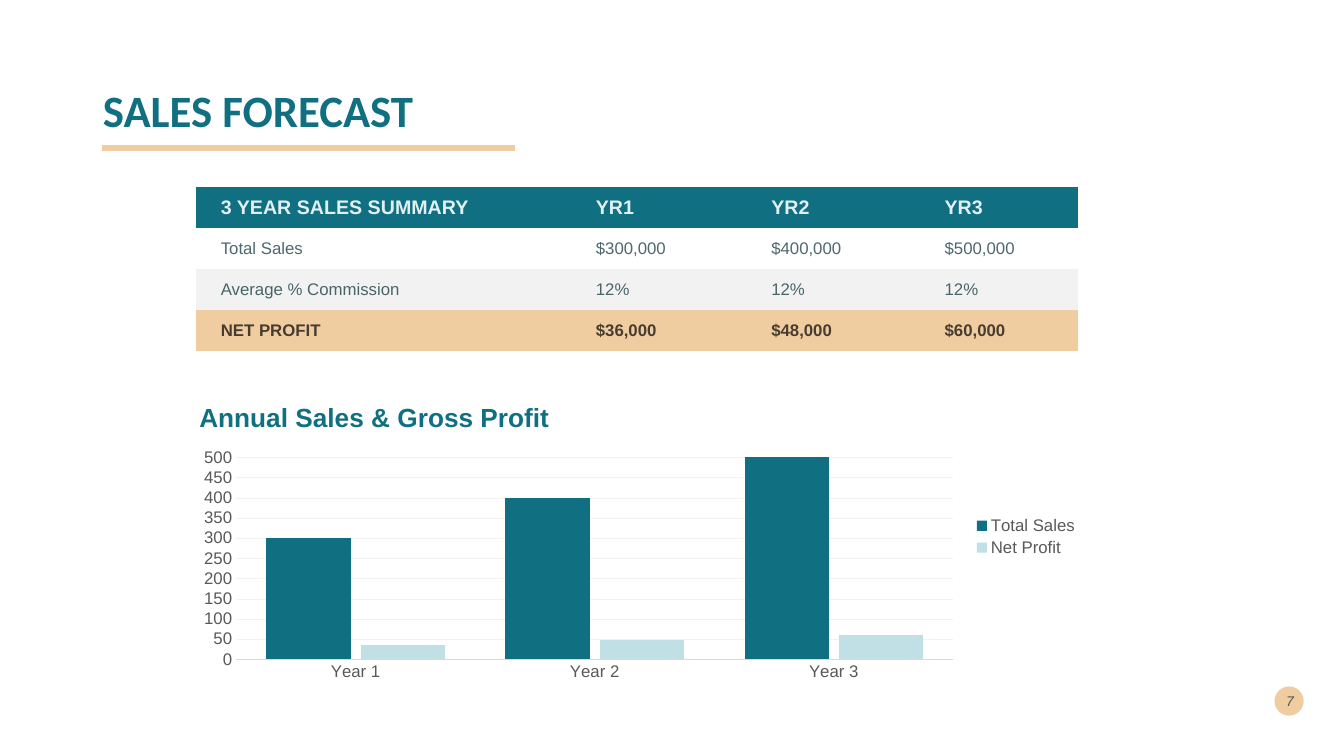
"""Build the sales forecast slide with a summary table and a column chart."""
from lxml.etree import SubElement
from pptx import Presentation
from pptx.chart.data import CategoryChartData
from pptx.dml.color import RGBColor
from pptx.enum.chart import XL_CHART_TYPE, XL_LEGEND_POSITION, XL_TICK_MARK
from pptx.enum.shapes import MSO_CONNECTOR, MSO_SHAPE
from pptx.enum.text import MSO_ANCHOR, PP_ALIGN
from pptx.oxml import parse_xml
from pptx.oxml.ns import nsdecls, qn
from pptx.util import Inches, Pt

TEAL = RGBColor(0x10, 0x70, 0x82)
SAND = RGBColor(0xF0, 0xCD, 0xA1)
ICE = RGBColor(0xE0, 0xF0, 0xF3)
SKY = RGBColor(0xC1, 0xE0, 0xE6)
PALE = RGBColor(0xF2, 0xF2, 0xF2)
INK = RGBColor(0x00, 0x29, 0x2E)
BLACK = RGBColor(0x00, 0x00, 0x00)
GREY = RGBColor(0x59, 0x59, 0x59)
SILVER = RGBColor(0xD9, 0xD9, 0xD9)


def style(font, color, alpha=None, **look):
    """Set the font's colour, opacity in percent and other values."""
    for name, value in {"name": "Arial", **look}.items():
        setattr(font, name, value)
    font.fill.solid()
    font.fill.fore_color.rgb = color
    if alpha:
        tint = font._element.find(".//" + qn("a:srgbClr"))
        SubElement(tint, qn("a:alpha"), val=str(alpha * 1000))


def place(part, index, **spots):
    """Give a chart part a manual layout in fractions of the chart."""
    for old in part.findall(qn("c:layout")):
        part.remove(old)
    layout = parse_xml(f"<c:layout {nsdecls('c')}/>")
    part.insert(index, layout)
    manual = SubElement(layout, qn("c:manualLayout"))
    if "w" in spots:
        SubElement(manual, qn("c:layoutTarget"), val="inner")
    for key in ("x", "y"):
        SubElement(manual, qn(f"c:{key}Mode"), val="edge")
    for key, value in spots.items():
        SubElement(manual, qn(f"c:{key}"), val=str(value))


deck = Presentation()
deck.slide_width, deck.slide_height = Inches(13.33), Inches(7.5)
slide = deck.slides.add_slide(deck.slide_layouts[5])
shapes = slide.shapes

title = shapes.title
title.left, title.top = Inches(0.92), Inches(0.4)
title.width, title.height = Inches(11.5), Inches(1.45)
title.text = "SALES FORECAST"
title.text_frame.vertical_anchor = MSO_ANCHOR.MIDDLE
para = title.text_frame.paragraphs[0]
para.alignment, para.line_spacing = PP_ALIGN.LEFT, 0.9
style(para.runs[0].font, TEAL, name="Calibri", size=Pt(32), bold=True)

rule = shapes.add_connector(MSO_CONNECTOR.STRAIGHT, Inches(1.01), Inches(1.47),
                            Inches(5.11), Inches(1.47))
rule.line.color.rgb, rule.line.width = SAND, Pt(4.32)
rule._element.spPr.append(parse_xml(f"<a:effectLst {nsdecls('a')}/>"))

badge = shapes.add_shape(MSO_SHAPE.OVAL, Inches(12.64), Inches(6.81),
                         Inches(0.29), Inches(0.29))
badge.shadow.inherit = False
badge.fill.solid()
badge.fill.fore_color.rgb = SAND
badge.line.fill.background()

page = shapes.add_textbox(Inches(12.54), Inches(6.75), Inches(0.39), Inches(0.4))
page.text_frame.word_wrap = True
page.text_frame.vertical_anchor = MSO_ANCHOR.MIDDLE
para = page.text_frame.paragraphs[0]
para.text, para.alignment = "7", PP_ALIGN.RIGHT
style(para.runs[0].font, INK, 70, size=Pt(10), italic=True)

ROWS = [
    (["3 YEAR SALES SUMMARY", "YR1", "YR2", "YR3"], TEAL, 7.8,
     dict(color=ICE, size=Pt(14), bold=True)),
    (["Total Sales", "$300,000", "$400,000", "$500,000"], None, 4.2,
     dict(color=INK, alpha=70, size=Pt(12), bold=False)),
    (["Average % Commission", "12%", "12%", "12%"], PALE, 3.7,
     dict(color=INK, alpha=70, size=Pt(12), bold=False)),
    (["NET PROFIT", "$36,000", "$48,000", "$60,000"], SAND, 3.7,
     dict(color=BLACK, alpha=70, size=Pt(12), bold=True)),
]
COLS = [(3.59, 0.25), (1.72, 0.38), (1.72, 0.4), (1.72, 0.4)]

frame = shapes.add_table(len(ROWS), len(COLS), Inches(1.94), Inches(1.86),
                         Inches(8.75), Inches(1.62))
table = frame.table
table.horz_banding = False
plain = table._tbl.tblPr.find(qn("a:tableStyleId"))
plain.text = "{2D5ABB26-0587-4C30-8999-92F81FD0307C}"
for col, (width, inset) in zip(table.columns, COLS):
    col.width = Inches(width)
for row, (words, back, gap, look) in zip(table.rows, ROWS):
    for cell, word, (width, inset) in zip(row.cells, words, COLS):
        cell.margin_left = Inches(inset)
        cell.margin_right = cell.margin_top = cell.margin_bottom = 0
        cell.vertical_anchor = MSO_ANCHOR.MIDDLE
        if back is None:
            cell.fill.background()
        else:
            cell.fill.solid()
            cell.fill.fore_color.rgb = back
        para = cell.text_frame.paragraphs[0]
        para.text, para.space_before = word, Pt(gap)
        style(para.runs[0].font, **look)

data = CategoryChartData()
data.categories = ["Year 1", "Year 2", "Year 3"]
data.add_series("Total Sales", [300, 400, 500])
data.add_series("Net Profit", [36, 48, 60])
chart = shapes.add_chart(XL_CHART_TYPE.COLUMN_CLUSTERED, Inches(1.84), Inches(3.83),
                         Inches(8.96), Inches(2.99), data).chart
style(chart.font, BLACK, size=Pt(10))

head = chart.chart_title
para = head.text_frame.paragraphs[0]
para.text = "Annual Sales & Gross Profit"
style(para.runs[0].font, TEAL, size=Pt(18.7), bold=True)
place(head._element, 1, x=0.01, y=0.03)

plot = chart.plots[0]
plot.gap_width, plot.overlap, plot.vary_by_categories = 72, -12, False
area = chart._chartSpace.find(".//" + qn("c:plotArea"))
place(area, 0, x=0.056, y=0.237, w=0.794, h=0.67)
for bars, color in zip(plot.series, (TEAL, SKY)):
    bars.format.fill.solid()
    bars.format.fill.fore_color.rgb = color

years, sums = chart.category_axis, chart.value_axis
for axis in (years, sums):
    axis.major_tick_mark = axis.minor_tick_mark = XL_TICK_MARK.NONE
    style(axis.tick_labels.font, GREY, size=Pt(12))
years.format.line.color.rgb, years.format.line.width = SILVER, Pt(0.75)
sums.format.line.fill.background()
sums.minimum_scale, sums.maximum_scale, sums.major_unit = 0, 500, 50
grid = sums.major_gridlines.format.line
grid.color.rgb, grid.width = PALE, Pt(0.25)

chart.has_legend = True
chart.legend.position = XL_LEGEND_POSITION.RIGHT
chart.legend.include_in_layout = False
style(chart.legend.font, GREY, size=Pt(12))

deck.save("out.pptx")
